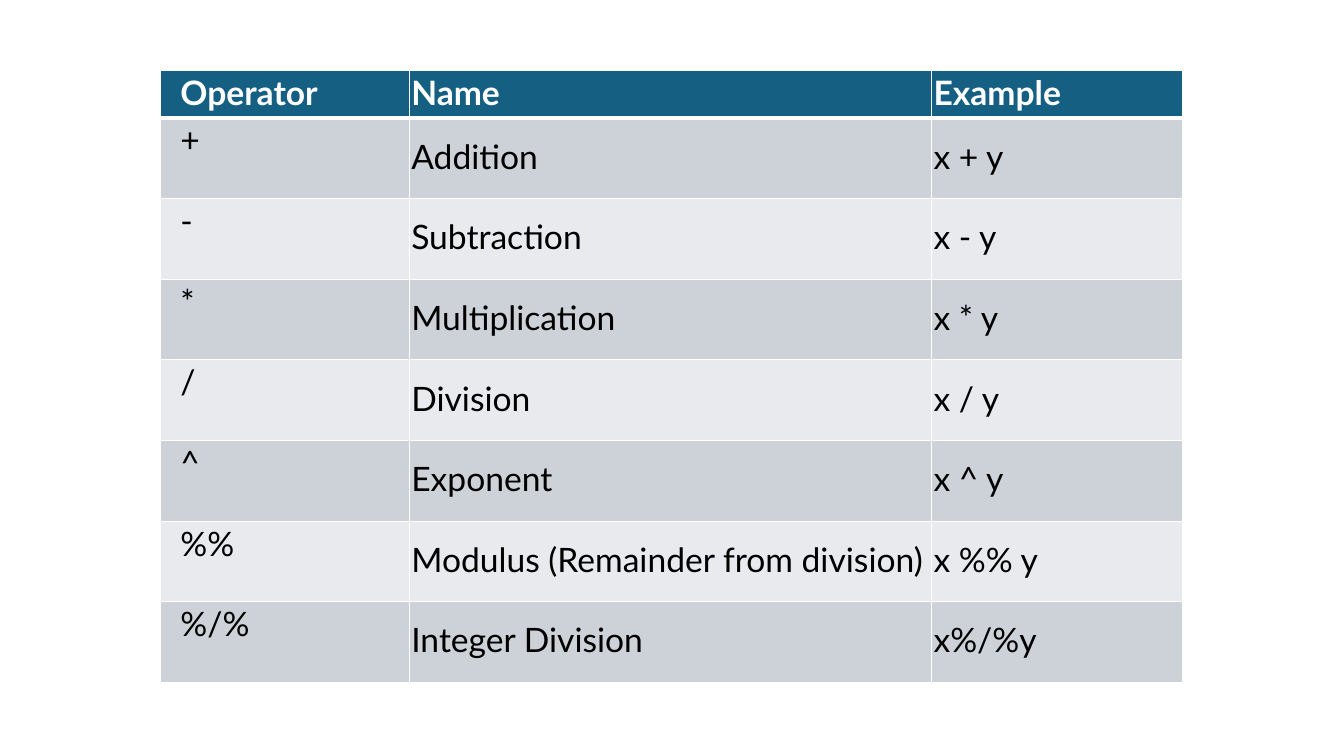
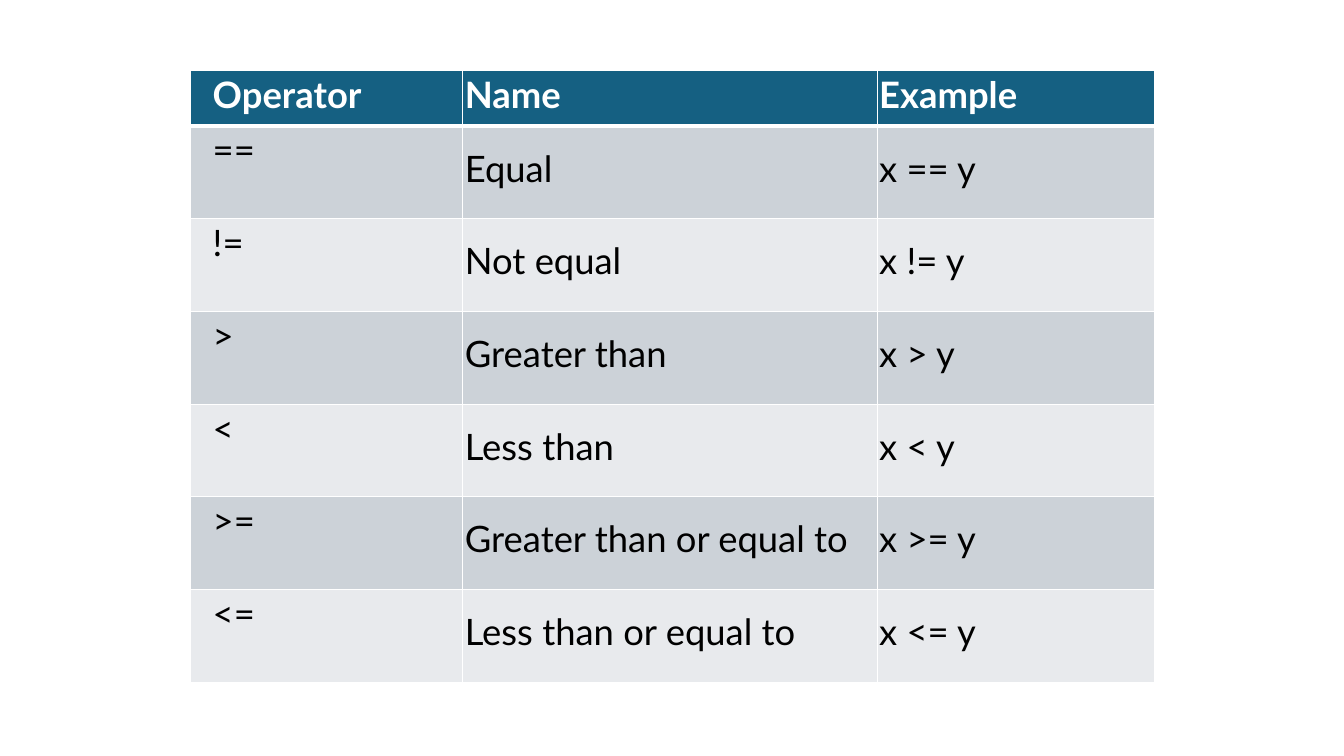
from lxml import etree
from pptx import Presentation
from pptx.dml.color import RGBColor
from pptx.enum import text
from pptx.oxml import ns
from pptx.util import Inches, Pt

COLORS = {
    "header": "156082",
    "odd": "CCD2D8",
    "even": "E8EAED",
    "border": "FFFFFF",
    "header_text": "FFFFFF",
    "body_text": "000000",
}
FONT = "Lato"
TABLE_TOP = 0.7
THIN, THICK = 1, 3
TIGHT = 0.02
HEADINGS = ("Operator", "Name", "Example")

TABLES = [
    {
        "left": 1.59,
        "columns": (2.47, 5.18, 2.49),
        "header_height": 0.47,
        "row_height": 0.8,
        "size": 24,
        "indent": 0.2,
        "padding": 0.18,
        "rows": [
            ("+", "Addition", "x + y"),
            ("-", "Subtraction", "x - y"),
            ("*", "Multiplication", "x * y"),
            ("/", "Division", "x / y"),
            ("^", "Exponent", "x ^ y"),
            ("%%", "Modulus (Remainder from division)", "x %% y"),
            ("%/%", "Integer Division", "x%/%y"),
        ],
    },
    {
        "left": 1.89,
        "columns": (2.7, 4.11, 2.75),
        "header_height": 0.55,
        "row_height": 0.92,
        "size": 26,
        "indent": 0.22,
        "padding": 0.2,
        "rows": [
            ("==", "Equal", "x == y"),
            ("!=", "Not equal", "x != y"),
            (">", "Greater than", "x > y"),
            ("<", "Less than", "x < y"),
            (">=", "Greater than or equal to", "x >= y"),
            ("<=", "Less than or equal to", "x <= y"),
        ],
    },
]


def color(name):
    return RGBColor.from_string(COLORS[name])


def set_borders(cell, row):
    widths = {
        "L": THIN,
        "R": THIN,
        "T": THICK if row == 1 else THIN,
        "B": THICK if row == 0 else THIN,
    }
    properties = cell._tc.get_or_add_tcPr()
    for side, width in widths.items():
        line = etree.SubElement(properties, ns.qn(f"a:ln{side}"), w=str(Pt(width)))
        fill = etree.SubElement(line, ns.qn("a:solidFill"))
        etree.SubElement(fill, ns.qn("a:srgbClr"), val=COLORS["border"])


def fill_cell(cell, row, column, words, layout):
    is_header = row == 0
    padded = not is_header and column > 0
    cell.margin_left = Inches(TIGHT if column else layout["indent"])
    cell.margin_right = Inches(TIGHT)
    cell.margin_top = Inches(layout["padding"] if padded else TIGHT)
    cell.margin_bottom = Inches(layout["padding"] if padded else 0)
    cell.vertical_anchor = text.MSO_ANCHOR.TOP
    set_borders(cell, row)
    cell.fill.solid()
    band = "header" if is_header else ("even", "odd")[row % 2]
    cell.fill.fore_color.rgb = color(band)
    run = cell.text_frame.paragraphs[0].add_run()
    run.text = words
    run.font.name = FONT
    run.font.size = Pt(layout["size"])
    run.font.bold = is_header
    run.font.color.rgb = color("header_text" if is_header else "body_text")


def add_operator_table(slide, layout):
    rows = [HEADINGS, *layout["rows"]]
    heights = [layout["header_height"]] + [layout["row_height"]] * len(layout["rows"])
    table = slide.shapes.add_table(
        len(rows), len(HEADINGS),
        Inches(layout["left"]), Inches(TABLE_TOP),
        Inches(sum(layout["columns"])), Inches(sum(heights)),
    ).table
    for column, width in zip(table.columns, layout["columns"]):
        column.width = Inches(width)
    for row, height in zip(table.rows, heights):
        row.height = Inches(height)
    for row, entries in enumerate(rows):
        for column, words in enumerate(entries):
            fill_cell(table.cell(row, column), row, column, words, layout)


def main():
    presentation = Presentation()
    presentation.slide_width = Inches(13.33)
    presentation.slide_height = Inches(7.5)
    for layout in TABLES:
        slide = presentation.slides.add_slide(presentation.slide_layouts[6])
        add_operator_table(slide, layout)
    presentation.save("out.pptx")


if __name__ == "__main__":
    main()
